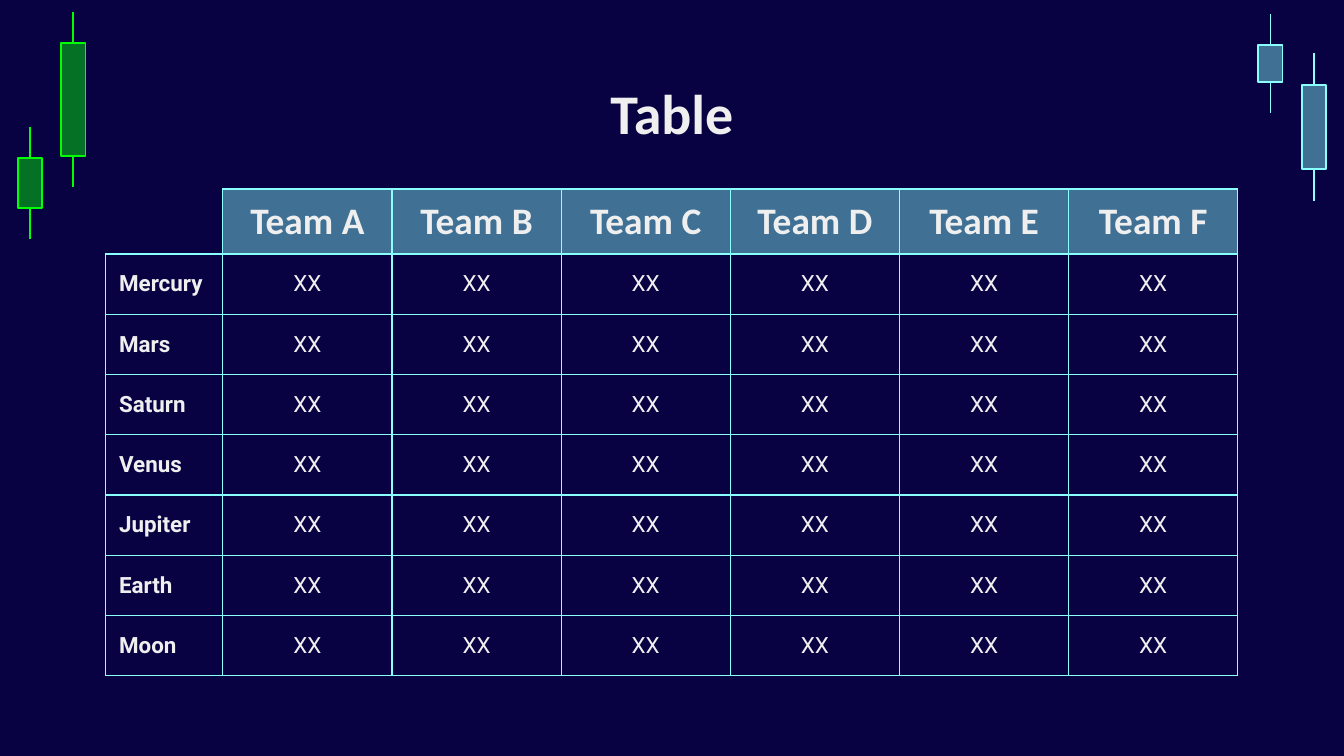
from lxml.etree import SubElement
from pptx import Presentation
from pptx.dml.color import RGBColor
from pptx.enum.shapes import MSO_CONNECTOR, MSO_SHAPE
from pptx.enum.text import MSO_ANCHOR, MSO_AUTO_SIZE, PP_ALIGN
from pptx.oxml import parse_xml
from pptx.oxml.ns import nsdecls, qn
from pptx.util import Pt

COLORS = {"night": "080243", "cyan": "89FFFF", "green": "00FF00", "text": "EFEFEF"}
TEAMS = ["Team A", "Team B", "Team C", "Team D", "Team E", "Team F"]
PLANETS = ["Mercury", "Mars", "Saturn", "Venus", "Jupiter", "Earth", "Moon"]

# Candles: colour, body left, body top, body height
CANDLES = [
    ("cyan", 674.1, 24.3, 19.6),
    ("cyan", 697.4, 45.4, 45.2),
    ("green", 9.5, 84.8, 26.6),
    ("green", 32.8, 23.1, 60.4),
]


class SlideBuilder:
    heading_font = "Calibri"
    body_font = "Roboto"
    opacity = 44
    candle_width = 13
    wick_length = 16.9
    candle_line = 1
    border_width = 0.75

    def __init__(self, slide):
        self.slide = slide

    def color(self, name):
        return RGBColor.from_string(COLORS[name])

    def background(self, name):
        fill = self.slide.background.fill
        fill.solid()
        fill.fore_color.rgb = self.color(name)

    def tint(self, fill, properties, name):
        """Give a semi-transparent solid fill."""
        fill.solid()
        fill.fore_color.rgb = self.color(name)
        color = properties.find(qn("a:solidFill")).find(qn("a:srgbClr"))
        SubElement(color, qn("a:alpha"), val=str(self.opacity * 1000))

    def label(self, frame, text, font, size, bold=True, align=PP_ALIGN.CENTER):
        frame.text = text
        para = frame.paragraphs[0]
        para.alignment = align
        span = para.runs[0]
        span.font.name = font
        span.font.size = Pt(size)
        span.font.bold = bold
        span.font.color.rgb = self.color("text")

    def title(self, text, left, top, width, height):
        box = self.slide.shapes.title
        box.left, box.top, box.width, box.height = map(Pt, (left, top, width, height))
        frame = box.text_frame
        frame.word_wrap = True
        frame.auto_size = MSO_AUTO_SIZE.NONE
        frame.vertical_anchor = MSO_ANCHOR.TOP
        frame.margin_left = frame.margin_right = Pt(7.2)
        frame.margin_top = frame.margin_bottom = Pt(7.2)
        self.label(frame, text, self.heading_font, 30)

    def wick(self, name, x, top):
        line = self.slide.shapes.add_connector(
            MSO_CONNECTOR.STRAIGHT, Pt(x), Pt(top), Pt(x), Pt(top + self.wick_length))
        line.line.color.rgb = self.color(name)
        line.line.width = Pt(self.candle_line)
        SubElement(line.element.spPr, qn("a:effectLst"))

    def candle(self, name, left, top, height):
        body = self.slide.shapes.add_shape(
            MSO_SHAPE.RECTANGLE, Pt(left), Pt(top), Pt(self.candle_width), Pt(height))
        body.shadow.inherit = False
        self.tint(body.fill, body.element.spPr, name)
        body.line.color.rgb = self.color(name)
        body.line.width = Pt(self.candle_line)
        center = left + self.candle_width / 2
        self.wick(name, center, top - self.wick_length)
        self.wick(name, center, top + height)

    def borders(self, cell, hidden=()):
        properties = cell._tc.get_or_add_tcPr()
        for index, side in enumerate(("lnL", "lnR", "lnT", "lnB")):
            if side in hidden:
                paint = "<a:noFill/>"
            else:
                paint = f'<a:solidFill><a:srgbClr val="{COLORS["cyan"]}"/></a:solidFill>'
            properties.insert(index, parse_xml(
                f'<a:{side} {nsdecls("a")} w="{Pt(self.border_width)}">{paint}</a:{side}>'))

    def cell(self, cell, text, fill, font, size, bold, align, side, edge):
        cell.margin_left = cell.margin_right = Pt(side)
        cell.margin_top = cell.margin_bottom = Pt(edge)
        cell.vertical_anchor = MSO_ANCHOR.MIDDLE
        self.label(cell.text_frame, text, font, size, bold, align)
        self.tint(cell.fill, cell._tc.get_or_add_tcPr(), fill)
        self.borders(cell)

    def table(self, left, top, label_width, column_width, header_height, row_height):
        rows, columns = len(PLANETS) + 1, len(TEAMS) + 1
        width = label_width + column_width * len(TEAMS)
        height = header_height + row_height * len(PLANETS)
        table = self.slide.shapes.add_table(
            rows, columns, Pt(left), Pt(top), Pt(width), Pt(height)).table
        table.first_row = table.horz_banding = False
        for index, column in enumerate(table.columns):
            column.width = Pt(column_width if index else label_width)
        for index, row in enumerate(table.rows):
            row.height = Pt(row_height if index else header_height)

        # Empty corner
        corner = table.cell(0, 0)
        corner.fill.background()
        self.borders(corner, hidden=("lnL", "lnT"))

        # Team headings
        for column, team in enumerate(TEAMS, 1):
            self.cell(table.cell(0, column), team, "cyan", self.heading_font, 20,
                      True, PP_ALIGN.CENTER, 7.2, 5)

        # Planet labels and values
        for row, planet in enumerate(PLANETS, 1):
            self.cell(table.cell(row, 0), planet, "night", self.body_font, 12,
                      True, PP_ALIGN.LEFT, 7.2, 0)
            for column in range(1, columns):
                self.cell(table.cell(row, column), "XX", "night", self.body_font, 12,
                          False, PP_ALIGN.CENTER, 0, 0)


def main():
    deck = Presentation()
    deck.slide_width, deck.slide_height = Pt(720), Pt(405)
    page = SlideBuilder(deck.slides.add_slide(deck.slide_layouts[5]))
    page.background("night")

    # Corner decorations
    for candle in CANDLES:
        page.candle(*candle)

    # Title and table
    page.title("Table", 56.7, 35.1, 606.6, 45.1)
    page.table(56.6, 101.2, 62.8, 90.65, 34.9, 32.3)
    deck.save("out.pptx")


if __name__ == "__main__":
    main()
